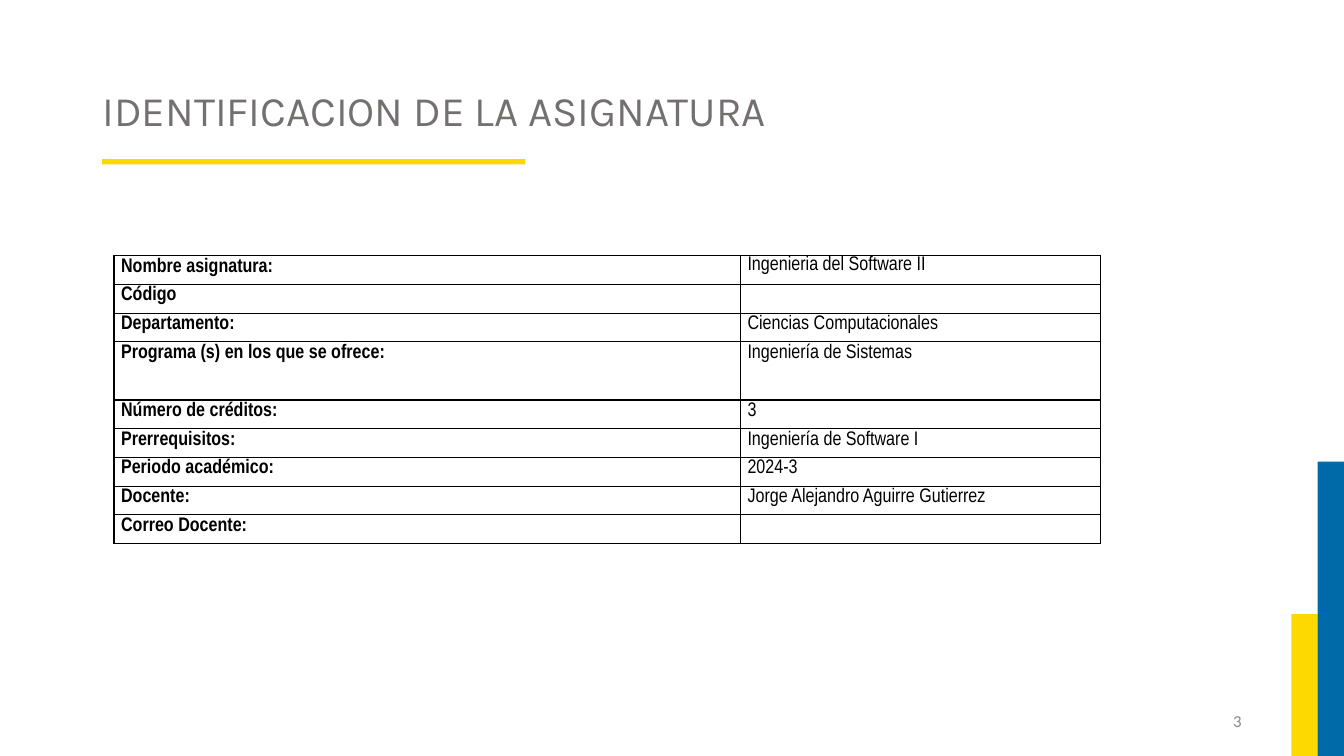
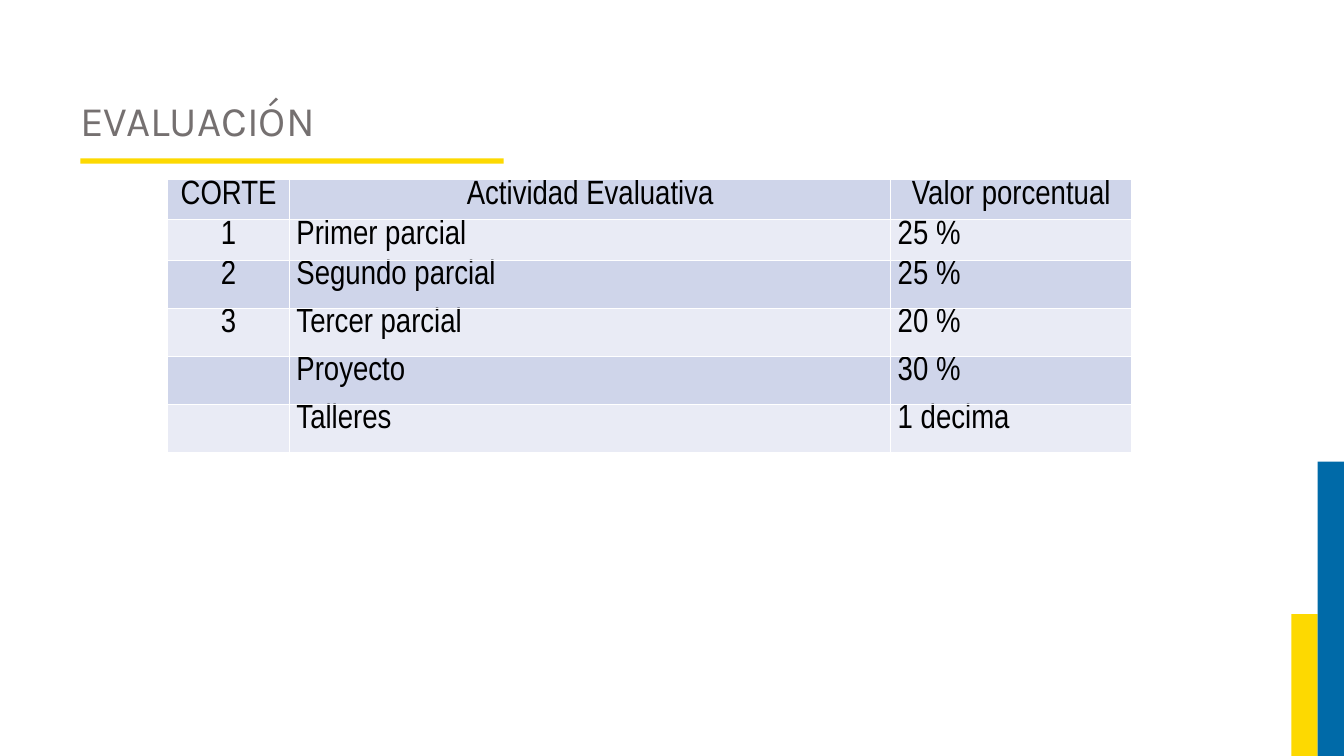
from dataclasses import dataclass

from lxml import etree
from pptx import Presentation
from pptx.dml.color import RGBColor
from pptx.enum.shapes import MSO_SHAPE
from pptx.enum.text import MSO_ANCHOR, PP_ALIGN
from pptx.oxml.ns import qn
from pptx.util import Pt

RECTANGLE = MSO_SHAPE.RECTANGLE
MIDDLE = MSO_ANCHOR.MIDDLE
LEFT, CENTER, RIGHT = PP_ALIGN.LEFT, PP_ALIGN.CENTER, PP_ALIGN.RIGHT

YELLOW, BLUE = "FDD901", "006AA8"
BLACK, WHITE = "000000", "FFFFFF"
TITLE_GREY, NUMBER_GREY = "757070", "888888"
BAND_DARK, BAND_LIGHT = "CFD5EA", "E9EBF5"
TABLE_FONT = "Arial Narrow"


@dataclass(frozen=True)
class Box:
    left: float
    top: float
    width: float
    height: float

    def lengths(self) -> tuple:
        return Pt(self.left), Pt(self.top), Pt(self.width), Pt(self.height)


@dataclass(frozen=True)
class Style:
    font: str
    size: float
    color: str
    bold: bool = False
    align: int = LEFT
    line_spacing: float | None = None
    space_after: float = 0


@dataclass(frozen=True)
class Cell:
    text: str
    style: Style
    fill: str | None = None


@dataclass(frozen=True)
class Grid:
    left: float
    top: float
    columns: list[float]
    rows: list[float]
    cells: list[list[Cell]]
    border: str
    margin_top: float


BARS = [(Box(922.4, 438.6, 18.8, 101.4), YELLOW), (Box(941.2, 329.8, 18.8, 210.2), BLUE)]
TITLE = Style("Karla", 30, TITLE_GREY, line_spacing=0.9)
PAGE_NUMBER = Style("Calibri", 12, NUMBER_GREY, align=RIGHT)
LABEL = Style(TABLE_FONT, 14, BLACK, bold=True, line_spacing=1.07)
VALUE = Style(TABLE_FONT, 14, BLACK, line_spacing=1.07)
FIRST_VALUE = Style(TABLE_FONT, 14, BLACK)
CENTERED = Style(TABLE_FONT, 24, BLACK, align=CENTER, space_after=6)
PLAIN = Style(TABLE_FONT, 24, BLACK, space_after=6)

COURSE = [
    ("Nombre asignatura:", "Ingenieria del Software II"),
    ("Código", ""),
    ("Departamento:", "Ciencias Computacionales"),
    ("Programa (s) en los que se ofrece:", "Ingeniería de Sistemas"),
    ("Número de créditos:", "3"),
    ("Prerrequisitos:", "Ingeniería de Software I"),
    ("Periodo académico:", "2024-3"),
    ("Docente:", "Jorge Alejandro Aguirre Gutierrez"),
    ("Correo Docente:", ""),
]
EVALUATION = [
    ("CORTE", "Actividad Evaluativa", "Valor porcentual"),
    ("1", "Primer parcial", "25 %"),
    ("2", "Segundo parcial", "25 %"),
    ("3", "Tercer parcial", "20 %"),
    ("", "Proyecto", "30 %"),
    ("", "Talleres", "1 decima"),
]


def rgb(color: str) -> RGBColor:
    return RGBColor.from_string(color)


def set_values(target, values: dict) -> None:
    for name, value in values.items():
        setattr(target, name, value)


def write(frame, text: str, style: Style) -> None:
    para = frame.paragraphs[0]
    set_values(para, {
        "alignment": style.align,
        "line_spacing": style.line_spacing,
        "space_after": Pt(style.space_after),
    })
    if not text:
        etree.SubElement(para._p, qn("a:endParaRPr"), sz=str(int(style.size * 100)))
        return
    span = para.add_run()
    span.text = text
    set_values(span.font, {"name": style.font, "size": Pt(style.size), "bold": style.bold})
    span.font.color.rgb = rgb(style.color)


def add_bar(page, box: Box, color: str) -> None:
    bar = page.shapes.add_shape(RECTANGLE, *box.lengths())
    bar.shadow.inherit = False
    bar.fill.solid()
    bar.fill.fore_color.rgb = rgb(color)
    bar.line.fill.background()


def add_text(page, box: Box, text: str, style: Style) -> None:
    frame = page.shapes.add_textbox(*box.lengths()).text_frame
    set_values(frame, {"word_wrap": True, "vertical_anchor": MIDDLE})
    write(frame, text, style)


def add_borders(cell, color: str) -> None:
    properties = cell._tc.get_or_add_tcPr()
    for index, side in enumerate(("lnL", "lnR", "lnT", "lnB")):
        line = etree.Element(qn(f"a:{side}"), w=str(Pt(1)))
        fill = etree.SubElement(line, qn("a:solidFill"))
        etree.SubElement(fill, qn("a:srgbClr"), val=color)
        properties.insert(index, line)


def add_grid(page, grid: Grid) -> None:
    box = Box(grid.left, grid.top, sum(grid.columns), sum(grid.rows))
    table = page.shapes.add_table(len(grid.rows), len(grid.columns), *box.lengths()).table
    set_values(table, {"first_row": False, "horz_banding": False})
    for column, width in zip(table.columns, grid.columns):
        column.width = Pt(width)
    for row, height, contents in zip(table.rows, grid.rows, grid.cells):
        row.height = Pt(height)
        for cell, content in zip(row.cells, contents):
            set_values(cell, {
                "margin_left": Pt(5),
                "margin_right": Pt(5),
                "margin_top": Pt(grid.margin_top),
                "margin_bottom": Pt(0),
            })
            if content.fill:
                cell.fill.solid()
                cell.fill.fore_color.rgb = rgb(content.fill)
            else:
                cell.fill.background()
            add_borders(cell, grid.border)
            write(cell.text_frame, content.text, content.style)


def add_page(deck, title: str, title_box: Box, rule_top: float):
    page = deck.slides.add_slide(deck.slide_layouts[6])
    for box, color in BARS:
        add_bar(page, box, color)
    add_text(page, title_box, title, TITLE)
    add_bar(page, Box(title_box.left + 7, rule_top, 302.4, 3.8), YELLOW)
    return page


def course_cells() -> list[list[Cell]]:
    return [
        [Cell(label, LABEL), Cell(value, VALUE if index else FIRST_VALUE)]
        for index, (label, value) in enumerate(COURSE)
    ]


def evaluation_cells() -> list[list[Cell]]:
    return [
        [
            Cell(
                text,
                CENTERED if row == 0 or column == 0 else PLAIN,
                BAND_LIGHT if row % 2 else BAND_DARK,
            )
            for column, text in enumerate(texts)
        ]
        for row, texts in enumerate(EVALUATION)
    ]


def main() -> None:
    deck = Presentation()
    set_values(deck, {"slide_width": Pt(960), "slide_height": Pt(540)})

    page = add_page(deck, "IDENTIFICACION DE LA ASIGNATURA", Box(66, 28.8, 828, 104.4), 113.6)
    add_text(page, Box(678, 500.5, 216, 28.8), "3", PAGE_NUMBER)
    rows = [20.55] * 3 + [41.5] + [20.55] * 5
    add_grid(page, Grid(81.5, 182.6, [447.5, 257], rows, course_cells(), BLACK, 0.7))

    page = add_page(deck, "EVALUACIÓN", Box(50.4, 46.8, 828, 81.4), 113.2)
    rows = [22.8, 25.8] + [34.3] * 4
    add_grid(page, Grid(119.8, 128.2, [87, 429.5, 172], rows, evaluation_cells(), WHITE, 0))

    deck.save("out.pptx")


if __name__ == "__main__":
    main()
